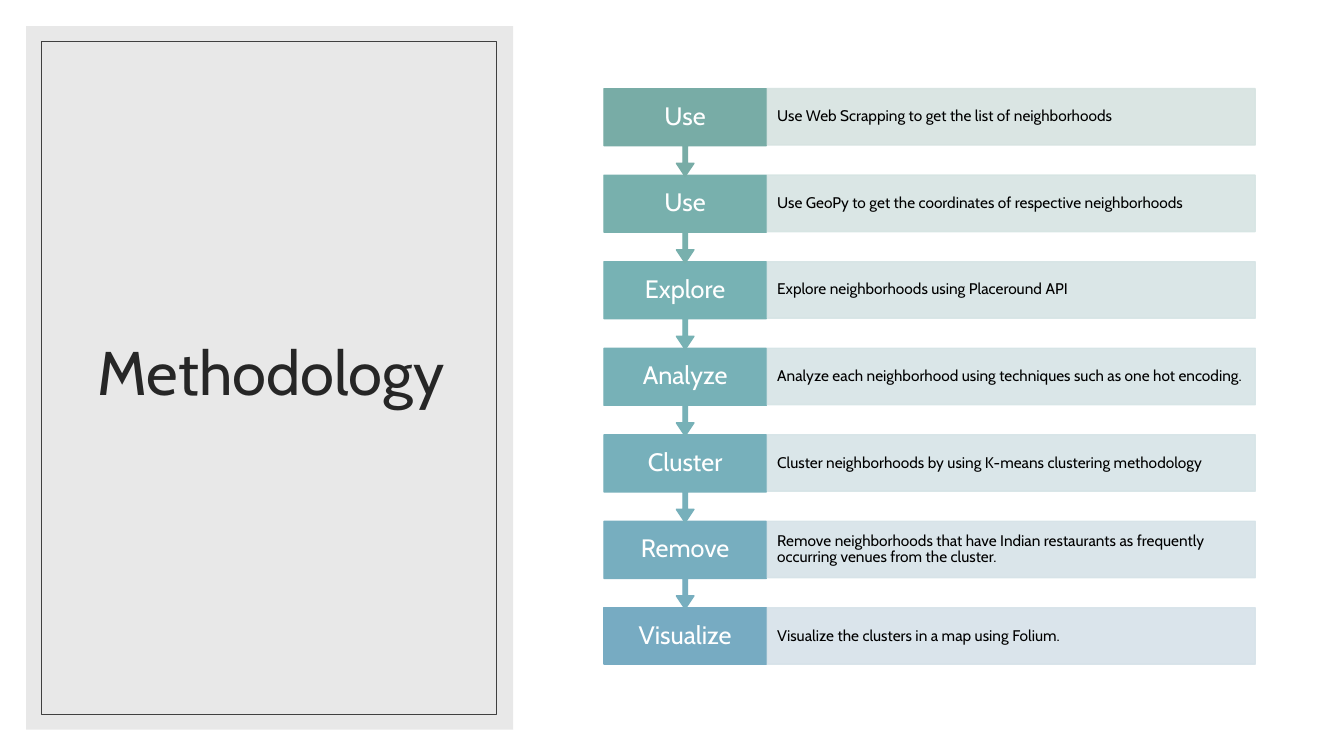
from lxml import etree
from pptx import Presentation
from pptx.dml.color import RGBColor
from pptx.enum.shapes import MSO_SHAPE
from pptx.enum.text import MSO_ANCHOR, PP_ALIGN
from pptx.oxml.ns import qn
from pptx.util import Inches, Pt

RECTANGLE = MSO_SHAPE.RECTANGLE
CALLOUT = MSO_SHAPE.UP_ARROW_CALLOUT
MIDDLE = MSO_ANCHOR.MIDDLE
LEFT = PP_ALIGN.LEFT
CENTER = PP_ALIGN.CENTER
FONT = "Cabin"

FIRST_TOP, LAST_TOP = 0.88, 6.03
LABEL_LEFT, LABEL_WIDTH = 5.99, 1.61
DETAIL_LEFT, DETAIL_WIDTH = 7.61, 4.84
BOX_HEIGHT, CALLOUT_HEIGHT = 0.56, 0.87
CALLOUT_ADJUSTMENTS = (0.05, 0.1, 0.15, 0.65)

STEPS = [
    ("Use", "Use Web Scrapping to get the list of neighborhoods", "78ACA6", "D6E3E1"),
    ("Use", "Use GeoPy to get the coordinates of respective neighborhoods", "78B0AD", "D6E4E3"),
    ("Explore", "Explore neighborhoods using Placeround API", "77B2B4", "D6E4E5"),
    ("Analyze", "Analyze each neighborhood using techniques such as one hot encoding.",
     "77B1B7", "D6E4E6"),
    ("Cluster", "Cluster neighborhoods by using K-means clustering methodology",
     "77B0BB", "D6E4E7"),
    ("Remove", "Remove neighborhoods that have Indian restaurants as frequently "
     "occurring venues from the cluster.", "77AEBF", "D6E3E8"),
    ("Visualize", "Visualize the clusters in a map using Folium.", "77ABC2", "D6E2E9"),
]


def color(value):
    return RGBColor.from_string(value)


def paint(fill, value, opacity):
    fill.solid()
    fill.fore_color.rgb = color(value)
    if opacity < 100:
        solid_fill = fill._xPr.find(qn("a:solidFill"))
        alpha = etree.SubElement(solid_fill[0], qn("a:alpha"))
        alpha.set("val", str(opacity * 1000))


def add_box(slide, box, fill=None, line=None, line_width=1, opacity=100, kind=RECTANGLE):
    shape = slide.shapes.add_shape(kind, *map(Inches, box))
    shape.shadow.inherit = False
    if fill:
        paint(shape.fill, fill, opacity)
    else:
        shape.fill.background()
    if line:
        paint(shape.line.fill, line, opacity)
        shape.line.width = Pt(line_width)
    else:
        shape.line.fill.background()
    return shape


def write_text(shape, text, size, value, alignment, side_inset=0.1, end_inset=0.05):
    frame = shape.text_frame
    frame.word_wrap = True
    frame.vertical_anchor = MIDDLE
    frame.margin_left = frame.margin_right = Inches(side_inset)
    frame.margin_top = frame.margin_bottom = Inches(end_inset)
    paragraph = frame.paragraphs[0]
    paragraph.alignment = alignment
    paragraph.line_spacing = 0.9
    run = paragraph.add_run()
    run.text = text
    run.font.name = FONT
    run.font.size = Pt(size)
    run.font.color.rgb = color(value)


def add_text(slide, box, *text_settings):
    write_text(slide.shapes.add_textbox(*map(Inches, box)), *text_settings)


def add_title_panel(slide):
    add_box(slide, (0.26, 0.26, 4.83, 6.98), "D9D9D9", opacity=60)
    add_text(slide, (0.63, 0.61, 4.12, 6.24), "Methodology", 44, "262626", CENTER)
    add_box(slide, (0.41, 0.41, 4.51, 6.68), line="404040", line_width=0.5)


def add_step(slide, top, step, is_last):
    label, detail, strong, pale = step
    label_box = (LABEL_LEFT, top, LABEL_WIDTH, BOX_HEIGHT)
    if is_last:
        add_box(slide, label_box, strong, strong)
    else:
        callout_box = (LABEL_LEFT, top, LABEL_WIDTH, CALLOUT_HEIGHT)
        callout = add_box(slide, callout_box, strong, strong, kind=CALLOUT)
        callout.rotation = 180
        for index, adjustment in enumerate(CALLOUT_ADJUSTMENTS):
            callout.adjustments[index] = adjustment
    add_text(slide, label_box, label, 18, "FFFFFF", CENTER, 0.11, 0.14)
    detail_box = (DETAIL_LEFT, top, DETAIL_WIDTH, BOX_HEIGHT)
    detail_shape = add_box(slide, detail_box, pale, pale, opacity=90)
    write_text(detail_shape, detail, 11, "000000", LEFT, 0.1, 0.15)


def main():
    presentation = Presentation()
    presentation.slide_width = Inches(13.33)
    presentation.slide_height = Inches(7.5)
    slide = presentation.slides.add_slide(presentation.slide_layouts[6])
    paint(slide.background.fill, "FFFFFF", 100)
    add_title_panel(slide)
    last = len(STEPS) - 1
    pitch = (LAST_TOP - FIRST_TOP) / last
    for index in reversed(range(len(STEPS))):
        add_step(slide, FIRST_TOP + index * pitch, STEPS[index], index == last)
    presentation.save("out.pptx")


if __name__ == "__main__":
    main()
